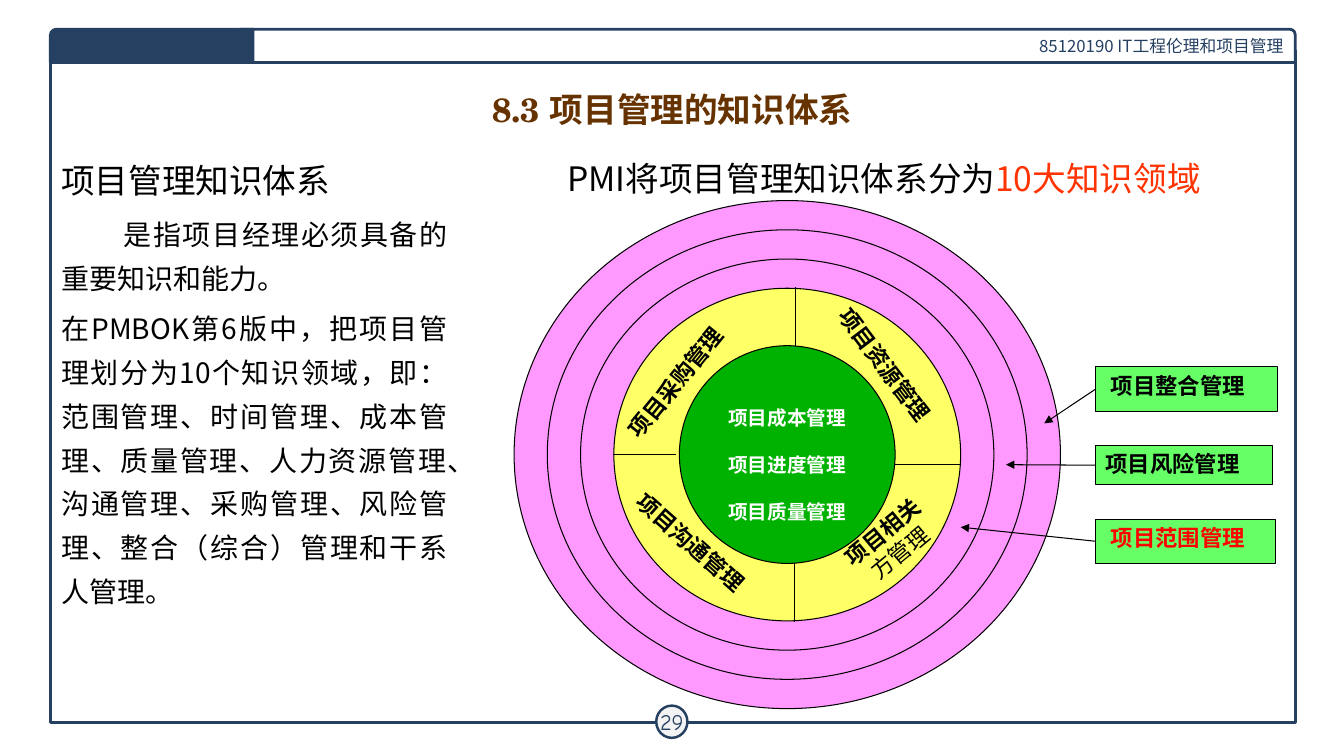
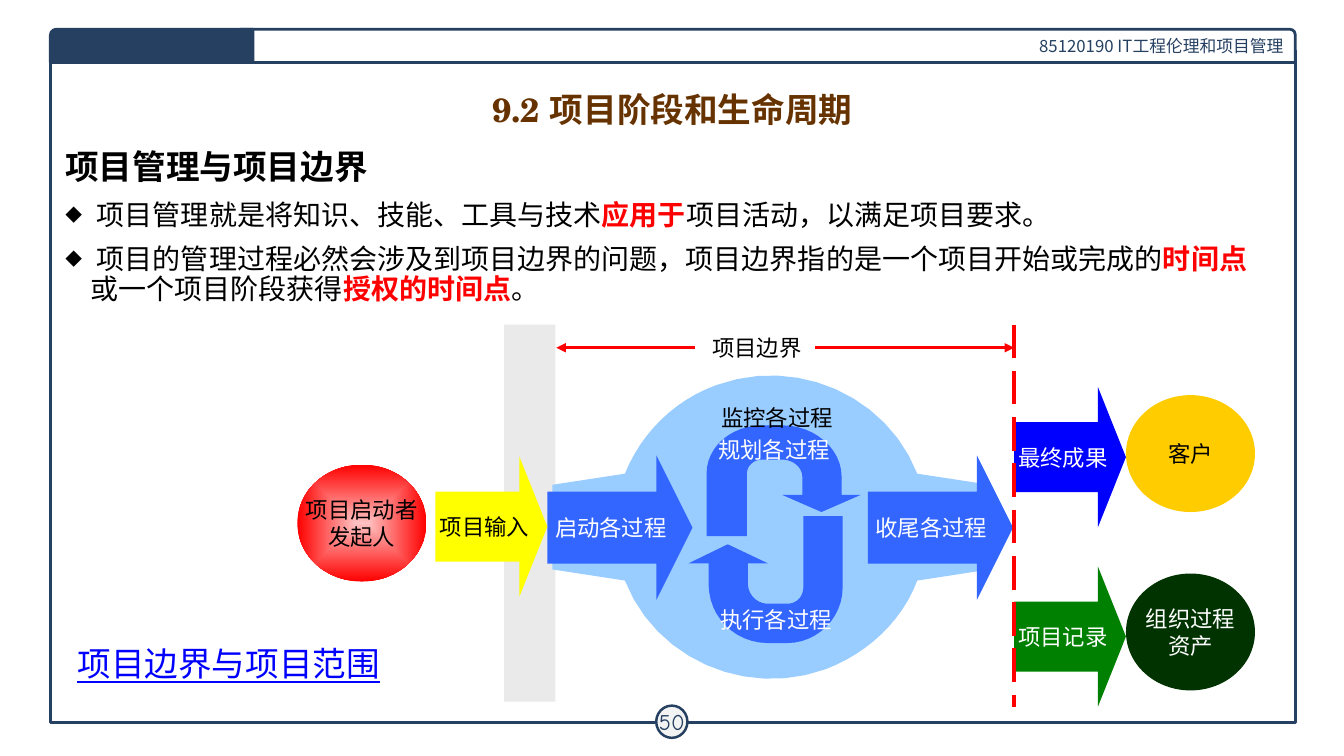
from lxml import etree
from pptx import Presentation
from pptx.dml.color import RGBColor
from pptx.enum.dml import MSO_LINE
from pptx.enum.shapes import MSO_CONNECTOR, MSO_SHAPE
from pptx.enum.text import MSO_ANCHOR, MSO_AUTO_SIZE, PP_ALIGN
from pptx.oxml.ns import qn
from pptx.util import Inches, Pt

RECT, ELLIPSE = MSO_SHAPE.RECTANGLE, MSO_SHAPE.OVAL
TAB, ARROW = MSO_SHAPE.ROUND_1_RECTANGLE, MSO_SHAPE.RIGHT_ARROW
STRAIGHT, LONG_DASH = MSO_CONNECTOR.STRAIGHT, MSO_LINE.LONG_DASH
LEFT, CENTER, RIGHT, JUSTIFY = PP_ALIGN.LEFT, PP_ALIGN.CENTER, PP_ALIGN.RIGHT, PP_ALIGN.JUSTIFY
TOP, MIDDLE = MSO_ANCHOR.TOP, MSO_ANCHOR.MIDDLE
NO_FIT = MSO_AUTO_SIZE.NONE

BLACK = RGBColor(0x00, 0x00, 0x00)
WHITE = RGBColor(0xFF, 0xFF, 0xFF)
NAVY = RGBColor(0x25, 0x40, 0x61)
BROWN = RGBColor(0x66, 0x33, 0x00)
PALE = RGBColor(0xF3, 0xF3, 0xF3)
GREY = RGBColor(0xEA, 0xEA, 0xEA)
PINK = RGBColor(0xFF, 0x99, 0xFF)
LEMON = RGBColor(0xFF, 0xFF, 0x66)
YELLOW = RGBColor(0xFF, 0xFF, 0x00)
GOLD = RGBColor(0xFF, 0xCC, 0x00)
LIME = RGBColor(0x66, 0xFF, 0x66)
LEAF = RGBColor(0x00, 0xB2, 0x00)
GREEN = RGBColor(0x00, 0x80, 0x00)
FOREST = RGBColor(0x00, 0x33, 0x00)
RED = RGBColor(0xFF, 0x00, 0x00)
ORANGE = RGBColor(0xFF, 0x33, 0x00)
ROSE = RGBColor(0xFF, 0xC1, 0xC1)
BLUE = RGBColor(0x00, 0x00, 0xFF)
ROYAL = RGBColor(0x33, 0x66, 0xFF)
SKY = RGBColor(0x99, 0xCC, 0xFF)

SANS, SERIF, HAND, LATIN = "Noto Sans CJK SC", "TeX Gyre Schola", "Comic Neue", "Calibri"
CELL = Inches(0.1)


def cells(*values):
    return [round(v * CELL) for v in values]


def trace(start, steps, samples=12):
    points = [start]
    for step in steps:
        if len(step) == 2:
            points.append(step)
            continue
        x0, y0 = points[-1]
        x1, y1, x2, y2, x3, y3 = step
        for i in range(1, samples + 1):
            t = i / samples
            a, b, c, d = (1 - t) ** 3, 3 * t * (1 - t) ** 2, 3 * t * t * (1 - t), t ** 3
            points.append((a * x0 + b * x1 + c * x2 + d * x3,
                           a * y0 + b * y1 + c * y2 + d * y3))
    return points


class Deck:
    def __init__(self):
        self.prs = Presentation()
        self.prs.slide_width, self.prs.slide_height = cells(133.33, 75)
        self.s = None

    def slide(self, title, page):
        self.s = self.prs.slides.add_slide(self.prs.slide_layouts[5])
        sp = self.s.shapes.title
        sp.left, sp.top, sp.width, sp.height = cells(6.7, 8.4, 120, 4.8)
        self.put_text(sp, [title], 24, BROWN, True, SERIF)
        self.shape(RECT, 5, 5, 123.5, 66.7, None, NAVY, 2)
        sp = self.shape(TAB, 23.8, 2.9, 104.7, 3.3, WHITE, NAVY, 2)
        self.put_text(sp, ["85120190 IT工程伦理和项目管理"], 12, NAVY, align=RIGHT, wrap=True)
        sp = self.shape(ELLIPSE, 65.1, 70, 3.1, 3.2, PALE, NAVY, 1.75)
        self.put_text(sp, [page], 16, NAVY, font=HAND, inset=0.4)
        sp = self.shape(TAB, 5, 2.9, 20.1, 3.3, NAVY, NAVY, 2)
        sp.adjustments[0] = 0.18
        sp._element.spPr.find(qn("a:xfrm")).set("flipH", "1")

    def paint(self, sp, fill, line=None, weight=0.75):
        sp.shadow.inherit = False
        if fill is None:
            sp.fill.background()
        else:
            sp.fill.solid()
            sp.fill.fore_color.rgb = fill
        if line is None:
            sp.line.fill.background()
        else:
            sp.line.color.rgb = line
            sp.line.width = Pt(weight)
        return sp

    def shape(self, kind, x, y, w, h, fill, line=None, weight=0.75):
        sp = self.s.shapes.add_shape(kind, *cells(x, y, w, h))
        return self.paint(sp, fill, line, weight)

    def disc(self, cx, cy, w, h, fill, line=None):
        return self.shape(ELLIPSE, cx - w / 2, cy - h / 2, w, h, fill, line)

    def arrow(self, x, y, w, h, fill, label, color):
        sp = self.shape(ARROW, x, y, w, h, fill)
        sp.adjustments[0], sp.adjustments[1] = 0.5, 0.25
        self.put_text(sp, [label], 16, color)

    def outline(self, start, steps, fill):
        points = [cells(*p) for p in trace(start, steps)]
        builder = self.s.shapes.build_freeform(*points[0], scale=1.0)
        builder.add_line_segments(points[1:], close=True)
        return self.paint(builder.convert_to_shape(), fill)

    def radial(self, sp, inner, outer):
        sp.fill.gradient()
        for stop, color in zip(sp.fill.gradient_stops, (inner, outer)):
            stop.color.rgb = color
        grad = sp._element.spPr.find(qn("a:gradFill"))
        grad.remove(grad.find(qn("a:lin")))
        shade = etree.SubElement(grad, qn("a:path"), {"path": "shape"})
        etree.SubElement(shade, qn("a:fillToRect"), dict.fromkeys("ltrb", "50000"))

    def line(self, x1, y1, x2, y2, color=BLACK, weight=0.75, arrow=False, dash=None, source=None):
        cn = self.s.shapes.add_connector(STRAIGHT, *cells(x1, y1, x2, y2))
        cn.line.color.rgb = color
        cn.line.width = Pt(weight)
        if dash is not None:
            cn.line.dash_style = dash
        spPr = cn._element.spPr
        if arrow:
            etree.SubElement(spPr.find(qn("a:ln")), qn("a:tailEnd"), {"type": "triangle"})
        etree.SubElement(spPr, qn("a:effectLst"))
        if source is not None:
            cn.begin_connect(source, 1)

    def frame(self, sp, anchor=MIDDLE, inset=1, wrap=False):
        tf = sp.text_frame
        tf.auto_size = NO_FIT
        tf.word_wrap = wrap
        tf.vertical_anchor = anchor
        tf.margin_left, tf.margin_right = cells(inset, inset)
        tf.margin_top, tf.margin_bottom = cells(min(inset, 0.5), min(inset, 0.5))
        return tf

    def para(self, tf, runs, size, color=BLACK, bold=False, font=SANS, align=CENTER,
             before=0, spacing=1.2, indent=0, bullet=None, underline=False):
        first = not tf.paragraphs[0].runs
        p = tf.paragraphs[0] if first else tf.add_paragraph()
        p.alignment = align
        p.line_spacing = Pt(round(size * spacing, 1))
        p.space_before = Pt(0 if first else before)
        p.space_after = Pt(0)
        pPr = p._p.get_or_add_pPr()
        if indent:
            pPr.set("indent", str(cells(indent)[0]))
        if bullet:
            pPr.set("marL", str(cells(-indent)[0]))
            etree.SubElement(pPr, qn("a:buSzPct"), {"val": "60000"})
            etree.SubElement(pPr, qn("a:buFont"), {"typeface": SANS})
            etree.SubElement(pPr, qn("a:buChar"), {"char": bullet})
        for run in [runs] if isinstance(runs, str) else runs:
            text, tone, heavy = (run, color, bold) if isinstance(run, str) else run
            r = p.add_run()
            r.text = text
            r.font.size = Pt(size)
            r.font.bold = heavy
            r.font.color.rgb = tone
            r.font.name = font
            if underline:
                r.font.underline = True
            etree.SubElement(r._r.get_or_add_rPr(), qn("a:ea"), {"typeface": SANS})

    def put_text(self, sp, paras, size, color=BLACK, bold=False, font=SANS, align=CENTER,
                 anchor=MIDDLE, inset=1, wrap=False, before=0, underline=False):
        tf = self.frame(sp, anchor, inset, wrap)
        for runs in paras:
            self.para(tf, runs, size, color, bold, font, align, before, underline=underline)
        return tf

    def box(self, x, y, w, h):
        return self.s.shapes.add_textbox(*cells(x, y, w, h))

    def label(self, cx, cy, paras, size=16, angle=0, **style):
        sp = self.box(cx - 8, cy - 2.5, 16, 5)
        sp.rotation = angle
        self.put_text(sp, paras, size, **style)


def knowledge_areas(d):
    d.slide("8.3 项目管理的知识体系", "29")
    tf = d.frame(d.box(5.1, 15.4, 40.3, 45.9), TOP, wrap=True)
    d.para(tf, "项目管理知识体系", 24, align=LEFT)
    d.para(tf, "是指项目经理必须具备的重要知识和能力。", 20,
           align=JUSTIFY, before=5, spacing=1.56, indent=6.2)
    d.para(tf, "在PMBOK第6版中，把项目管理划分为10个知识领域，即：范围管理、时间管理、成本管理、"
               "质量管理、人力资源管理、沟通管理、采购管理、风险管理、整合（综合）管理和干系人管理。",
           20, align=JUSTIFY, before=5, spacing=1.56)

    cx, cy = 78.1, 45.1
    for k, fill in enumerate((PINK, PINK, PINK, LEMON)):
        d.disc(cx, cy, 54.2 - 6.6 * k, 50.4 - 5.8 * k, fill, BLACK)
    core = d.disc(cx, cy, 21.4, 21.6, LEAF, BLACK)
    tf = d.put_text(core, ["项目成本管理", "项目进度管理", "项目质量管理"], 14, WHITE, True,
                    LATIN, before=16.8)
    tf.margin_top = cells(2.5)[0]

    for ends in ((78.9, 28.5, 78.9, 34.3), (88.8, 46.1, 95.3, 46.1),
                 (67.1, 45.1, 60.8, 45.1), (78.8, 55.9, 78.8, 61.7)):
        d.line(*ends)
    for x, y, angle, paras in (
            (68.5, 53.8, 41.6, ["项目沟通管理"]),
            (67, 37.9, 309.2, ["项目采购管理"]),
            (87.8, 36.2, 52.8, ["项目资源管理"]),
            (88.4, 53.8, 320.2, ["项目相关", [("方管理", BLACK, False)]])):
        d.label(x, y, paras, angle=angle, bold=True, font=LATIN)

    for text, color, y, w, h, inset, tip in (
            ("项目整合管理", BLACK, 36.4, 18, 4.4, 1.5, (103.6, 42)),
            ("项目风险管理", BLACK, 44.2, 17.5, 3.9, 1, (99.8, 46.1)),
            ("项目范围管理", RED, 51.5, 17.8, 4.4, 1.5, (95.3, 52.3))):
        sp = d.shape(RECT, 108.7, y, w, h, LIME, BLACK)
        d.put_text(sp, [text], 16, color, True, LATIN, LEFT, TOP, inset, True)
        d.line(108.7, y + h / 2, *tip, arrow=True, source=sp)

    d.put_text(d.box(55.3, 15.2, 70, 5),
               [["PMI将项目管理知识体系分为", ("10大知识领域", ORANGE, False)]],
               24, align=LEFT, wrap=True)


def project_boundary(d):
    d.slide("9.2 项目阶段和生命周期", "50")
    tf = d.frame(d.box(5.5, 14.4, 121.2, 18), TOP, wrap=True)
    d.para(tf, "项目管理与项目边界", 24, bold=True, align=LEFT, spacing=1.08)
    for runs in (
            [" 项目管理就是将知识、技能、工具与技术", ("应用于", RED, True),
             "项目活动，以满足项目要求。"],
            [" 项目的管理过程必然会涉及到项目边界的问题，项目边界指的是一个项目开始或完成的",
             ("时间点", RED, True), "或一个项目阶段获得", ("授权的时间点", RED, True), "。"]):
        d.para(tf, runs, 20, align=LEFT, before=10, spacing=1.08, indent=-2.5, bullet="◆")
    d.put_text(d.box(6.7, 63.3, 35, 5), ["项目边界与项目范围"], 24, BLUE, align=LEFT,
               wrap=True, underline=True)

    d.shape(RECT, 50, 32.2, 5.1, 37.4, GREY)
    for start, tip in ((68.9, 55.2), (80.9, 100.6)):
        d.line(start, 34.5, tip, 34.5, RED, 2.25, arrow=True)
    d.outline((91, 47), [
        (88, 39.3, 79.1, 35.3, 71.1, 38.2), (66.9, 39.7, 63.6, 43, 62, 47),
        (54.8, 48.1), (54.8, 56.5), (62, 57.6),
        (65, 65.3, 73.9, 69.3, 81.9, 66.4), (86.1, 64.8, 89.5, 61.6, 91, 57.6),
        (98.2, 56.5), (98.2, 48.1)], SKY)
    for x, text in ((54.3, "启动各过程"), (86.1, "收尾各过程")):
        d.arrow(x, 45.2, 14.4, 14.3, ROYAL, text, WHITE)
    d.outline((78.1, 59.9), [
        (79, 59.9, 79.7, 59.2, 79.7, 58.3), (79.7, 51.2), (83.6, 51.2), (83.6, 58.3),
        (83.6, 61.3, 81.1, 63.8, 78.1, 63.8), (76.2, 63.8),
        (72.9, 63.8, 70.3, 61.2, 70.3, 57.9), (70.3, 55.9), (68.3, 55.9), (72.2, 54),
        (76.2, 55.9), (74.2, 55.9), (74.2, 57.9), (74.2, 59, 75.1, 59.9, 76.2, 59.9)], ROYAL)
    d.outline((75.6, 45.6), [
        (74.8, 45.6, 74.1, 46.2, 74.1, 47), (74.1, 53.2), (70.1, 53.2), (70.1, 47),
        (70.1, 44.3, 72.6, 42.2, 75.6, 42.2), (77.6, 42.2),
        (80.8, 42.2, 83.5, 44.5, 83.5, 47.3), (83.5, 49.1), (85.4, 49.1), (81.5, 50.8),
        (77.6, 49.1), (79.6, 49.1), (79.6, 47.3), (79.6, 46.4, 78.7, 45.6, 77.6, 45.6)], ROYAL)
    for x, y, text, color in ((76.8, 44.6, "规划各过程", WHITE), (77, 61.5, "执行各过程", WHITE),
                              (77.1, 41.4, "监控各过程", BLACK), (75.1, 34.5, "项目边界", BLACK)):
        d.label(x, y, [text], color=color)

    for x, y, fill, text, color in ((43.2, 45.3, YELLOW, "项目输入", BLACK),
                                    (100.6, 38.4, BLUE, "最终成果", WHITE),
                                    (100.6, 56.2, GREEN, "项目记录", WHITE)):
        d.arrow(x, y, 11.1, 13.9, fill, text, color)
    for cx, cy, fill, paras, color in ((35.9, 51.9, RED, ["项目启动者", "发起人"], BLACK),
                                       (118.1, 45, GOLD, ["客户"], BLACK),
                                       (118.1, 62.7, FOREST, ["组织过程", "资产"], WHITE)):
        sp = d.disc(cx, cy, 12.8, 11.6, fill)
        d.put_text(sp, paras, 16, color)
        if fill == RED:
            d.radial(sp, ROSE, RED)
    d.line(100.6, 32.2, 100.6, 70.1, RED, 3, dash=LONG_DASH)


def main():
    d = Deck()
    knowledge_areas(d)
    project_boundary(d)
    d.prs.save("out.pptx")


if __name__ == "__main__":
    main()
